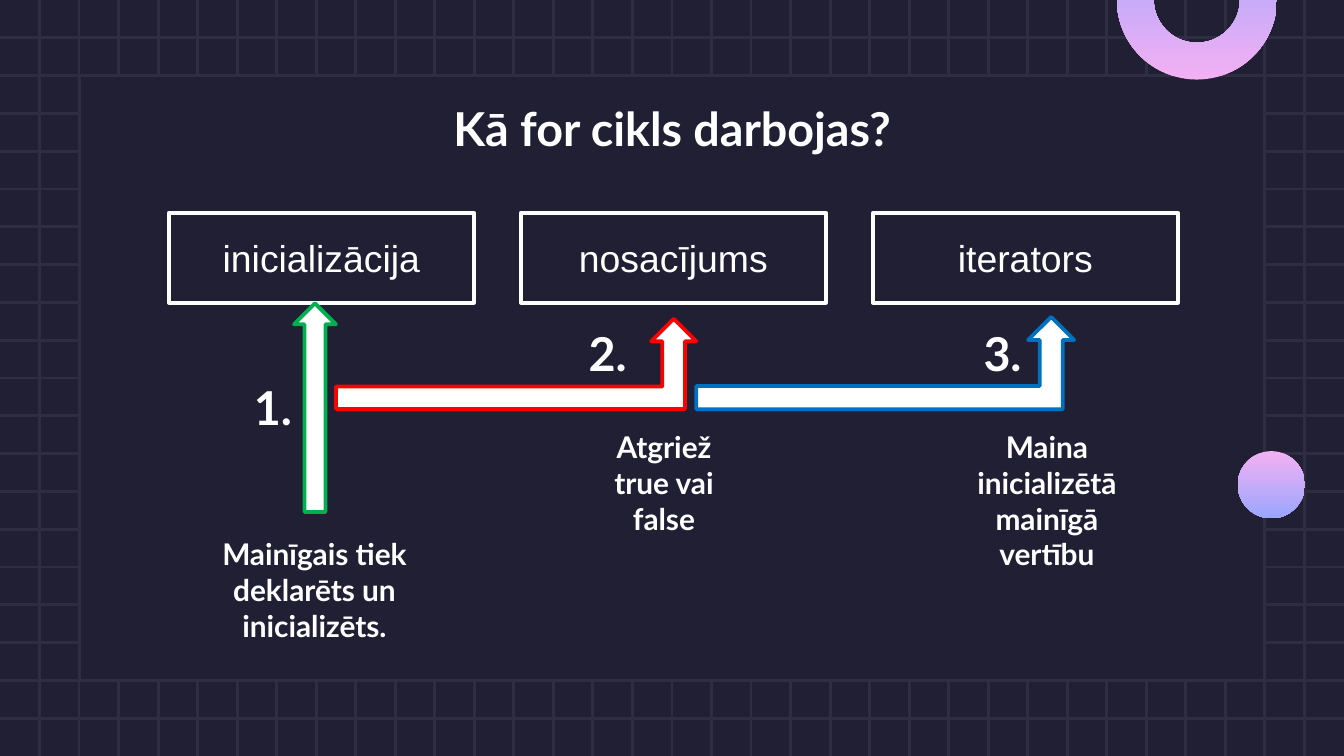
from pptx import Presentation
from pptx.dml.color import RGBColor
from pptx.enum.shapes import MSO_CONNECTOR, MSO_SHAPE
from pptx.enum.text import MSO_ANCHOR, MSO_AUTO_SIZE, PP_ALIGN
from pptx.oxml.ns import qn
from pptx.util import Pt

RECTANGLE, OVAL = MSO_SHAPE.RECTANGLE, MSO_SHAPE.OVAL
ARC, UP_ARROW, BENT_ARROW = MSO_SHAPE.BLOCK_ARC, MSO_SHAPE.UP_ARROW, MSO_SHAPE.BENT_UP_ARROW
STRAIGHT = MSO_CONNECTOR.STRAIGHT
LEFT, CENTER, MIDDLE = PP_ALIGN.LEFT, PP_ALIGN.CENTER, MSO_ANCHOR.MIDDLE
GROW = MSO_AUTO_SIZE.SHAPE_TO_FIT_TEXT

NIGHT = RGBColor(0x21, 0x1F, 0x34)
GRID = RGBColor(0x2E, 0x2D, 0x42)
WHITE = RGBColor(0xFF, 0xFF, 0xFF)
PINK = RGBColor(0xF3, 0xB0, 0xF3)
PERIWINKLE = RGBColor(0x9A, 0xA6, 0xFF)
GREEN = RGBColor(0x00, 0xB0, 0x50)
RED = RGBColor(0xFF, 0x00, 0x00)
BLUE = RGBColor(0x00, 0x70, 0xC0)

WIDTH, HEIGHT = 720, 405
ROWS, COLUMNS = 20, 34


class Painter:
    """Holds the slide and the shared style; all lengths are in points."""

    def __init__(self, page):
        self.page = page
        self.heading_font, self.body_font = "Lato", "Arial"
        self.grid_weight, self.outline_weight = 1.5, 2
        page.background.fill.solid()
        page.background.fill.fore_color.rgb = NIGHT

    def grid_line(self, x1, y1, x2, y2):
        line = self.page.shapes.add_connector(STRAIGHT, Pt(x1), Pt(y1), Pt(x2), Pt(y2))
        line.line.color.rgb = GRID
        line.line.width = Pt(self.grid_weight)
        properties = line._element.spPr
        properties.append(properties.makeelement(qn("a:effectLst"), {}))

    def shape(self, kind, left, top, width, height):
        shape = self.page.shapes.add_shape(kind, Pt(left), Pt(top), Pt(width), Pt(height))
        shape.shadow.inherit = False
        return shape

    def outlined(self, kind, bounds, fill, outline, weight=None):
        shape = self.shape(kind, *bounds)
        shape.fill.solid()
        shape.fill.fore_color.rgb = fill
        shape.line.color.rgb = outline
        shape.line.width = Pt(weight or self.outline_weight)
        return shape

    def gradient(self, kind, bounds):
        shape = self.shape(kind, *bounds)
        shape.line.fill.background()
        shape.fill.gradient()
        shape.fill.gradient_angle = 270
        for stop, color in zip(shape.fill.gradient_stops, (PINK, PERIWINKLE)):
            stop.color.rgb = color
        return shape

    def set_text(self, frame, words, size, font, bold, align):
        frame.word_wrap = True
        para = frame.paragraphs[0]
        para.text = words
        para.alignment = align
        para.font.name = font
        para.font.size = Pt(size)
        para.font.bold = bold
        para.font.color.rgb = WHITE

    def box(self, words, bounds):
        box = self.outlined(RECTANGLE, bounds, NIGHT, WHITE)
        box.text_frame.vertical_anchor = MIDDLE
        self.set_text(box.text_frame, words, 20, self.body_font, False, CENTER)

    def text(self, words, bounds, size, align=CENTER):
        box = self.page.shapes.add_textbox(*map(Pt, bounds))
        box.text_frame.auto_size = GROW
        self.set_text(box.text_frame, words, size, self.heading_font, True, align)


def main():
    deck = Presentation()
    deck.slide_width, deck.slide_height = Pt(WIDTH), Pt(HEIGHT)
    painter = Painter(deck.slides.add_slide(deck.slide_layouts[6]))

    # Background grid and the panel over it
    for row in range(1, ROWS):
        y = row * HEIGHT / ROWS
        painter.grid_line(0, y, WIDTH, y)
    for column in range(1, COLUMNS):
        x = column * WIDTH / COLUMNS
        painter.grid_line(x, 0, x, HEIGHT)
    painter.outlined(RECTANGLE, (42.5, 40.7, 635, 323.6), NIGHT, GRID, painter.grid_weight)

    # Gradient ornaments
    arc = painter.gradient(ARC, (598.3, -43.1, 85.7, 85.7))
    arc.rotation = 180
    arc.adjustments[0], arc.adjustments[1], arc.adjustments[2] = 108, 0.36, 0.23
    painter.gradient(OVAL, (663.1, 241.7, 36, 36))

    # Title
    painter.text("Kā for cikls darbojas?", (180, 49.7, 360, 37.4), 25)

    # Parts of the loop
    for index, words in enumerate(("inicializācija", "nosacījums", "iterators")):
        painter.box(words, (90.5 + index * 188.6, 114, 163.4, 48.2))

    # Steps: arrow, number and explanation
    steps = (
        (UP_ARROW, (157.5, 162.5, 22.5, 111.8), GREEN, (128.9, 199.4),
         "Mainīgais tiek deklarēts un inicializēts.", (97.2, 283.7, 142.6, 65.5)),
        (BENT_ARROW, (180, 170.8, 193, 48.4), RED, (308.2, 170.6),
         "Atgriež true vai false", (308.2, 226.1, 95, 65.5)),
        (BENT_ARROW, (373, 169.8, 202.5, 49.4), BLUE, (519.8, 170.6),
         "Maina inicializētā mainīgā vertību", (503.3, 226.1, 115.2, 85)),
    )
    for number, (kind, bounds, color, place, words, area) in enumerate(steps, 1):
        painter.outlined(kind, bounds, WHITE, color)
        painter.text(f"{number}.", (*place, 40, 37.4), 25, LEFT)
        painter.text(words, area, 16)

    deck.save("out.pptx")


if __name__ == "__main__":
    main()
